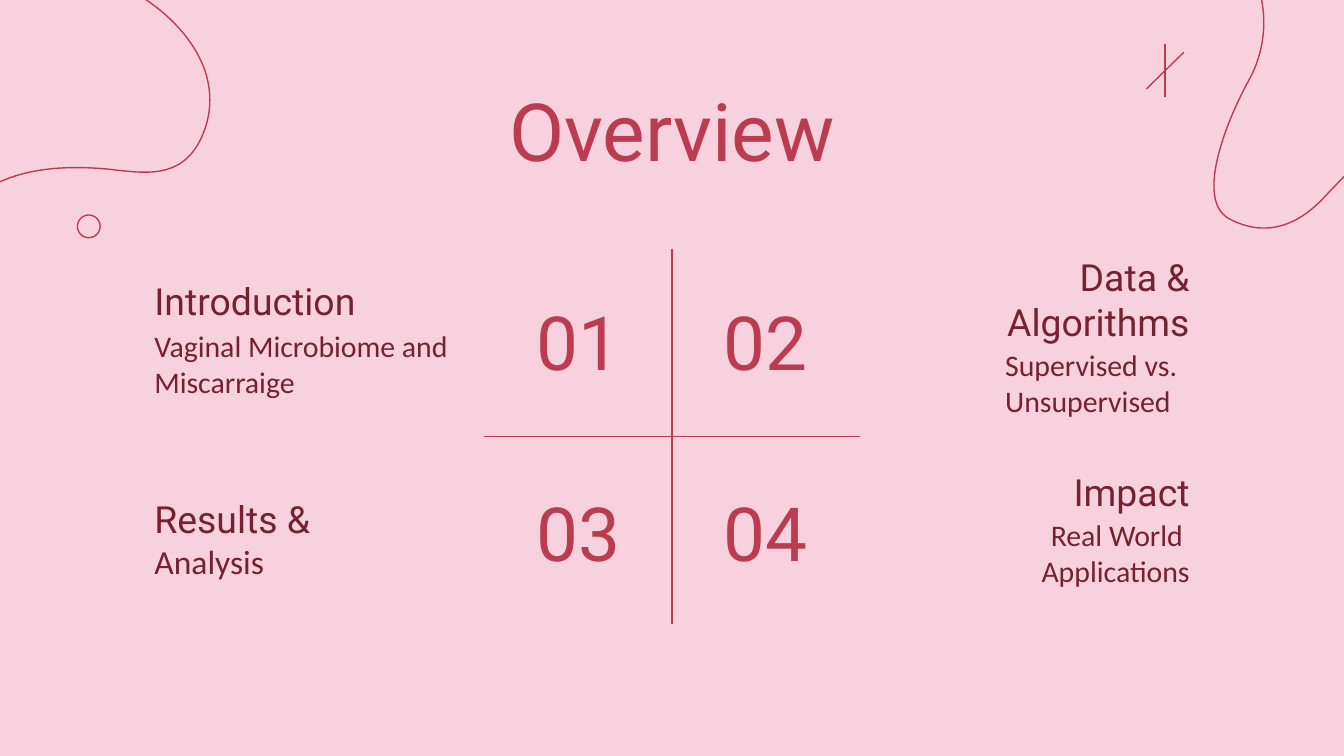
from math import cos, radians, sin

from lxml.etree import SubElement
from pptx import Presentation
from pptx.dml.color import RGBColor
from pptx.enum.shapes import MSO_CONNECTOR, MSO_SHAPE
from pptx.enum.text import MSO_ANCHOR, PP_ALIGN
from pptx.oxml.ns import qn
from pptx.util import Pt

ROSE = "BB3B50"
WINE = "74222F"
BLUSH = "F7D2DE"
HEADING = ("Roboto", 20, WINE)
DETAIL = ("Calibri", 16, WINE)
NUMBER = ("Roboto", 40, ROSE)
LEFT, CENTER, RIGHT = PP_ALIGN.LEFT, PP_ALIGN.CENTER, PP_ALIGN.RIGHT

LEFT_WAVE = [
    (109.4, 36.7),
    (101.5, 15.8), (80.6, -2.2), (56.2, -11.5),
    (40.3, -17.3), (25.2, -23), (8.6, -28.8),
    (-43.9, -49.7), (-99.4, -12.2), (-114.5, 41),
    (-121, 61.2), (-118.8, 82.8), (-112.3, 100.8),
    (-103, 126.7), (-84.2, 146.2), (-61.9, 151.9),
    (-25.9, 161.3), (-46.8, 80.6), (58.3, 90.7),
    (77.8, 92.9), (95.8, 95.8), (106.6, 76.3),
    (113.8, 62.6), (113.8, 49), (109.4, 36.7),
]
RIGHT_WAVE = [
    (656.6, 115.9),
    (656.6, 115.9), (657.4, 115.9), (657.4, 116.6),
    (675.4, 126.7), (693.4, 123.1), (709.9, 105.1),
    (718.6, 95.8), (727.2, 87.1), (736.6, 78.5),
    (782.6, 36), (768.2, -16.6), (737.3, -39.6),
    (720, -51.8), (697.7, -54.7), (678.2, -46.8),
    (672.5, -43.9), (668.2, -38.9), (667.4, -32.4),
    (666.7, -28.8), (669.6, -20.2), (672.5, -11.5),
    (679.7, 6.5), (678.2, 26.6), (668.9, 43.2),
    (655.2, 68.4), (642.2, 105.1), (656.6, 115.9),
]


def color(value):
    return RGBColor.from_string(value)


def style_span(span, font, size, ink):
    span.font.name = font
    span.font.size = Pt(size)
    span.font.color.rgb = color(ink)


def add_text(page, left, top, width, height, lines, align):
    box = page.shapes.add_textbox(Pt(left), Pt(top), Pt(width), Pt(height))
    frame = box.text_frame
    frame.word_wrap = True
    frame.vertical_anchor = MSO_ANCHOR.TOP
    frame.margin_top = frame.margin_bottom = 0
    for index, spans in enumerate(lines):
        para = frame.add_paragraph() if index else frame.paragraphs[0]
        para.alignment = align
        for text, style in spans:
            span = para.add_run()
            span.text = text
            style_span(span, *style)


def add_line(group, x1, y1, x2, y2):
    line = group.shapes.add_connector(MSO_CONNECTOR.STRAIGHT, Pt(x1), Pt(y1), Pt(x2), Pt(y2))
    line.line.color.rgb = color(ROSE)
    line.line.width = Pt(0.75)
    SubElement(line._element.spPr, qn("a:effectLst"))


def outline(shape):
    shape.shadow.inherit = False
    shape.fill.background()
    shape.line.color.rgb = color(ROSE)
    shape.line.width = Pt(0.75)


def add_node(parent, x, y):
    SubElement(parent, qn("a:pt"), x=str(Pt(x)), y=str(Pt(y)))


def add_wave(page, left, top, width, height, angle, nodes):
    builder = page.shapes.build_freeform(Pt(left), Pt(top))
    corners = [(left + width, top), (left + width, top + height), (left, top + height)]
    builder.add_line_segments([(Pt(x), Pt(y)) for x, y in corners], close=True)
    wave = builder.convert_to_shape()
    outline(wave)
    wave.rotation = angle

    turn_x, turn_y = cos(radians(angle)), sin(radians(angle))
    half_x, half_y = width / 2, height / 2
    offsets = [(x - left - half_x, y - top - half_y) for x, y in nodes]
    points = [(half_x + x * turn_x + y * turn_y, half_y - x * turn_y + y * turn_x)
              for x, y in offsets]
    track = wave._element.spPr.find(".//" + qn("a:path"))
    for child in list(track):
        track.remove(child)
    add_node(SubElement(track, qn("a:moveTo")), *points[0])
    for first in range(1, len(points), 3):
        curve = SubElement(track, qn("a:cubicBezTo"))
        for point in points[first:first + 3]:
            add_node(curve, *point)
    SubElement(track, qn("a:close"))


def add_ring(page, left, top, size):
    outline(page.shapes.add_shape(MSO_SHAPE.OVAL, Pt(left), Pt(top), Pt(size), Pt(size)))


def add_spark(page, left, top, width, height):
    group = page.shapes.add_group_shape()
    add_line(group, left + width / 2, top, left + width / 2, top + height)
    add_line(group, left, top + height * 0.85, left + width, top + height * 0.15)


def add_number_grid(page, left, top, size):
    middle = size / 2
    group = page.shapes.add_group_shape()
    add_line(group, left + middle, top, left + middle, top + size)
    add_line(group, left, top + middle, left + size, top + middle)
    for index in range(4):
        row, column = divmod(index, 2)
        add_text(page, left + 5.8 + column * 100.2, top + 25.2 + row * 102.2, 89.3, 48.2,
                 [[(f"{index + 1:02}", NUMBER)]], CENTER)


def add_topics(page, left, top, width):
    right = left + width
    add_text(page, left, top + 39.6, 185.8, 43.2,
             [[("Vaginal Microbiome and Miscarraige", DETAIL)]], LEFT)
    add_text(page, left, top + 13, 185.8, 26.6, [[("Introduction", HEADING)]], LEFT)
    add_text(page, right - 113, top + 49.7, 185.8, 43.2,
             [[("Supervised vs. Unsupervised", DETAIL)]], LEFT)
    add_text(page, right - 128.9, top, 128.9, 26.6, [[("Data & Algorithms", HEADING)]], RIGHT)
    add_text(page, left, top + 129.6, 131, 26.6,
             [[("Results & ", HEADING), ("Analysis", ("Calibri", 18, WINE))]], LEFT)
    add_text(page, right - 185.8, top + 115.2, 185.8, 26.6, [[("Impact", HEADING)]], RIGHT)
    add_text(page, right - 185.8, top + 140.8, 185.8, 43.2,
             [[("Real World ", DETAIL)], [("Applications", DETAIL)]], RIGHT)


def build_overview(deck):
    page = deck.slides.add_slide(deck.slide_layouts[6])
    page.background.fill.solid()
    page.background.fill.fore_color.rgb = color(BLUSH)
    add_wave(page, -112.3, -68.4, 204.5, 230.4, 70.1, LEFT_WAVE)
    add_text(page, 59, 43.5, 602, 39.6, [[("Overview", ("Roboto", 43, ROSE))]], CENTER)
    add_number_grid(page, 259.4, 133.2, 201.2)
    add_topics(page, 75.6, 136.1, 568.8)
    add_spark(page, 614.2, 23.8, 20, 28)
    add_ring(page, 41.5, 115.2, 12.2)
    add_wave(page, 627.8, -49, 136.8, 172.8, 216.5, RIGHT_WAVE)


def main():
    deck = Presentation()
    deck.slide_width, deck.slide_height = Pt(720), Pt(405)
    build_overview(deck)
    deck.save("out.pptx")


if __name__ == "__main__":
    main()
